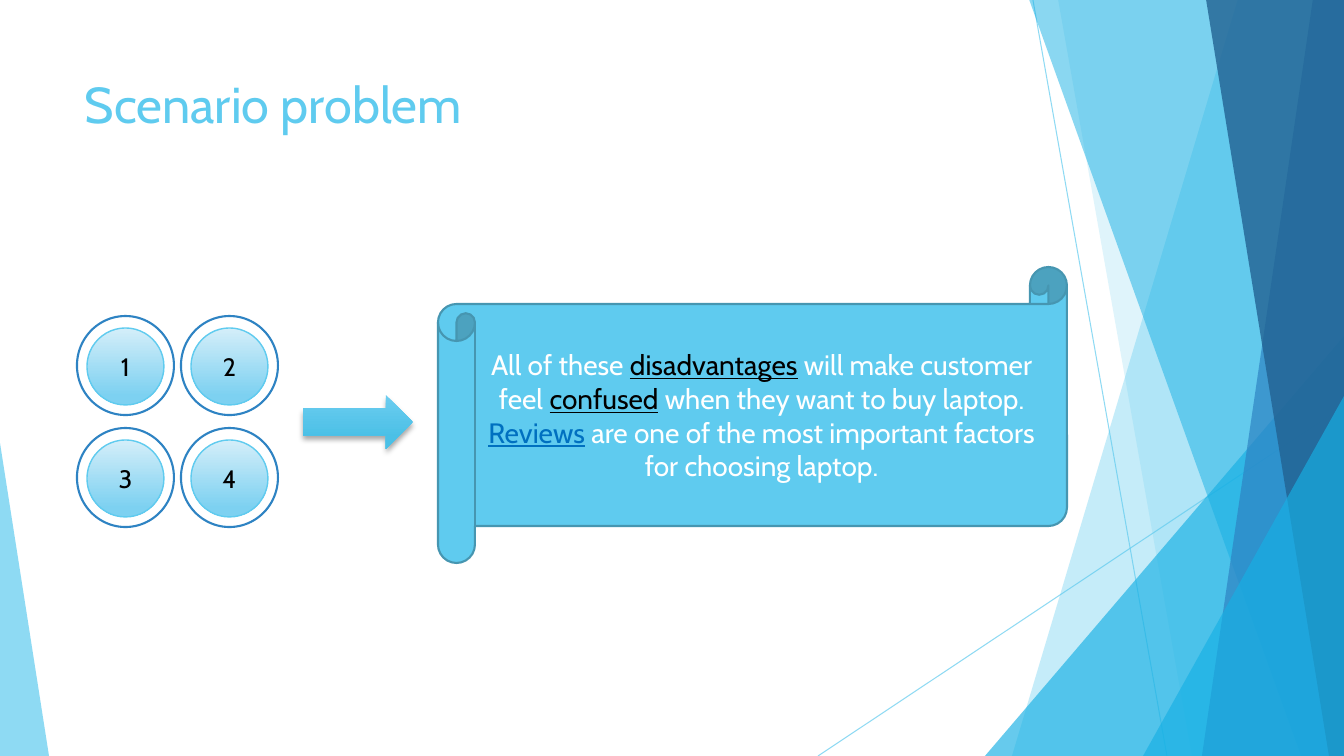
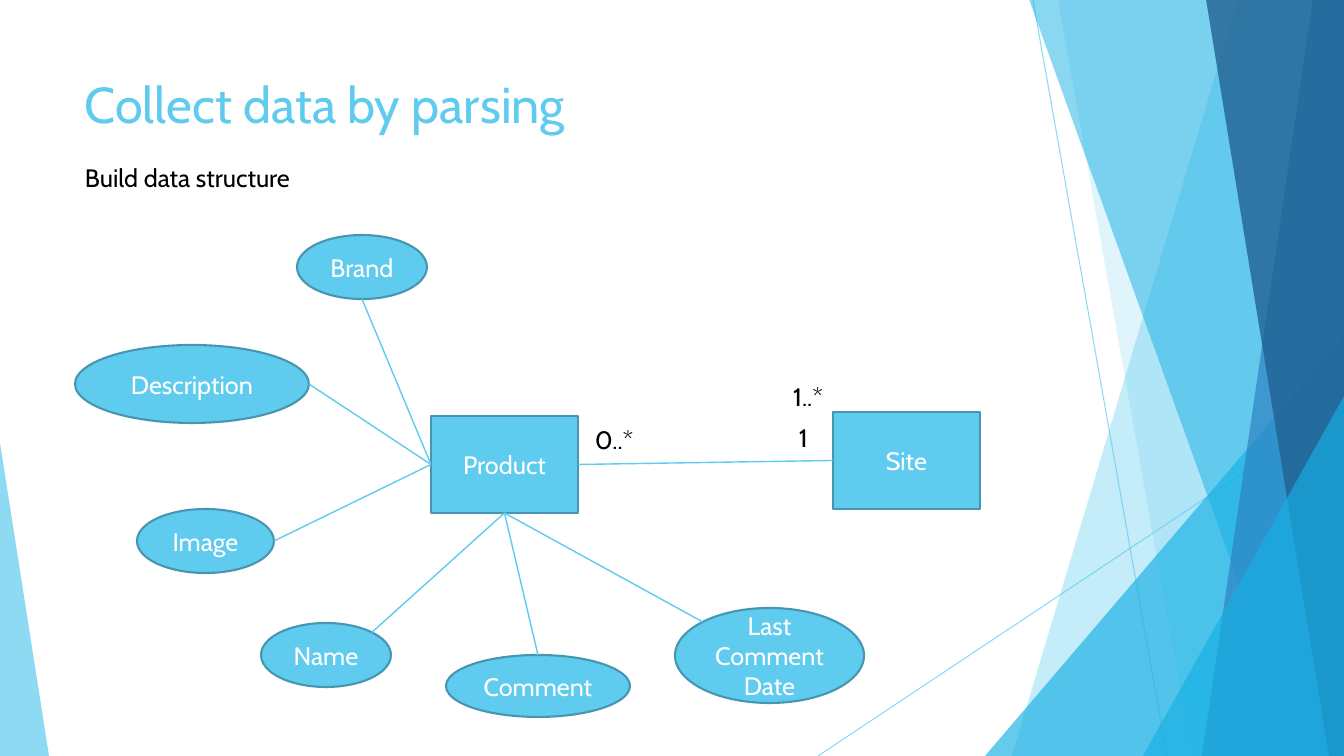
from dataclasses import dataclass
from math import cos, pi, sin
from typing import Optional, Union

from lxml.etree import SubElement
from pptx import Presentation
from pptx.dml.color import RGBColor as RGB
from pptx.enum.shapes import MSO_CONNECTOR as CXN, MSO_SHAPE as SHAPE
from pptx.enum.text import MSO_ANCHOR as ANCHOR, PP_ALIGN as ALIGN
from pptx.oxml.ns import qn
from pptx.util import Emu, Pt

PX = 914400 / 100.8
WIDTH, HEIGHT = 1344, 756
FONT = "Cabin"
COLORS = {
    "sky": "5FCBEF", "azure": "17B0E4", "blue": "2E83C3", "navy": "226292",
    "edge": "4696B1", "link": "0070C0", "white": "FFFFFF", "black": "000000",
    "pale": "D4EEF9", "soft": "7DD1F1", "arrow_top": "6CCDF0", "arrow_base": "4BC0E6",
}


@dataclass(frozen=True)
class Box:
    x: int
    y: int
    w: int
    h: int


@dataclass(frozen=True)
class Band:
    """Area from a slanted left edge to the right side of the slide."""
    top_x: int
    bottom_x: int
    color: str
    alpha: int


@dataclass(frozen=True)
class Wedge:
    """Triangle whose apex sits at the given share of its width."""
    box: Box
    apex: float
    color: str
    alpha: int


@dataclass(frozen=True)
class Run:
    text: str
    color: str = "white"
    underline: bool = False


@dataclass(frozen=True)
class Attribute:
    """Oval joined from one of its eight sites to a side of the product."""
    name: str
    box: Box
    site: int
    product_side: int


@dataclass(frozen=True)
class Label:
    text: str
    box: Box
    align: ALIGN = ALIGN.LEFT
    wrap: bool = True


LEFT_SIDE, BOTTOM_SIDE, RIGHT_SIDE = 1, 2, 3
RAYS = [(1033, 0, 1167, HEIGHT), (WIDTH, 406, 818, HEIGHT)]
FACETS: list[Union[Band, Wedge]] = [
    Band(1238, 1012, "sky", 36),
    Band(1058, 1192, "sky", 20),
    Wedge(Box(985, 336, 359, 420), 1, "azure", 66),
    Band(1029, 1301, "azure", 50),
    Band(1313, 1202, "blue", 70),
    Band(1206, 1329, "navy", 80),
    Wedge(Box(1143, 396, 201, 360), 1, "azure", 66),
    Wedge(Box(0, 443, 49, 313), 0, "sky", 70),
]
CONCLUSION = [
    [Run("All of these "), Run("disadvantages", "black", True),
     Run(" will make customer feel "), Run("confused", "black", True),
     Run(" when they want to buy laptop.")],
    [Run("Reviews", "link", True),
     Run(" are one of the most important factors for choosing laptop.")],
]
PRODUCT = Box(431, 416, 147, 97)
SITE = Box(833, 412, 147, 97)
ATTRIBUTES = [
    Attribute("Brand", Box(297, 235, 130, 64), 4, LEFT_SIDE),
    Attribute("Description", Box(75, 345, 234, 78), 6, LEFT_SIDE),
    Attribute("Image", Box(137, 509, 137, 64), 6, LEFT_SIDE),
    Attribute("Name", Box(261, 623, 130, 64), 7, BOTTOM_SIDE),
    Attribute("Comment", Box(446, 655, 184, 62), 0, BOTTOM_SIDE),
    Attribute("Last Comment Date", Box(675, 608, 189, 95), 1, BOTTOM_SIDE),
]
LABELS = [
    Label("0..*", Box(585, 419, 76, 40)),
    Label("1", Box(789, 417, 44, 42)),
    Label("1..*", Box(747, 376, 86, 40), ALIGN.RIGHT),
    Label("Build data structure", Box(75, 157, 248, 40), wrap=False),
]


def px(n: float) -> Emu:
    return Emu(round(n * PX))


def rgb(name: str) -> RGB:
    return RGB.from_string(COLORS[name])


def place(box: Box) -> tuple:
    return px(box.x), px(box.y), px(box.w), px(box.h)


def set_alpha(element, percent: int) -> None:
    for clr in element.iter(qn("a:srgbClr")):
        SubElement(clr, qn("a:alpha"), val=str(percent * 1000))


def write(tf, paragraphs: list, size: int = 18, align: ALIGN = ALIGN.CENTER) -> None:
    for i, runs in enumerate(paragraphs):
        p = tf.paragraphs[0] if i == 0 else tf.add_paragraph()
        p.alignment = align
        for run in runs:
            r = p.add_run()
            r.text = run.text
            r.font.color.rgb = rgb(run.color)
            fmt = {"name": FONT, "size": Pt(size), "underline": run.underline}
            for key, value in fmt.items():
                setattr(r.font, key, value)


def style(s, fill: str, line: Optional[str] = None, weight: float = 1.5) -> None:
    s.shadow.inherit = False
    s.fill.solid()
    s.fill.fore_color.rgb = rgb(fill)
    if line:
        s.line.color.rgb = rgb(line)
        s.line.width = Pt(weight)
    else:
        s.line.fill.background()


def add_shape(slide, kind: SHAPE, box: Box, fill: str,
              line: Optional[str] = None, weight: float = 1.5):
    s = slide.shapes.add_shape(kind, *place(box))
    style(s, fill, line, weight)
    s.text_frame.vertical_anchor = ANCHOR.MIDDLE
    return s


def shade(s, top: str, base: str, stop: float) -> None:
    """Give a shape a vertical gradient that ends at the stop."""
    s.fill.gradient()
    s.fill.gradient_angle = 270
    for mark, color, position in zip(s.fill.gradient_stops, (top, base), (0, stop)):
        mark.color.rgb = rgb(color)
        mark.position = position


def add_line(slide, x1: float, y1: float, x2: float, y2: float, weight: float = 1):
    c = slide.shapes.add_connector(CXN.STRAIGHT, px(x1), px(y1), px(x2), px(y2))
    c.line.color.rgb = rgb("sky")
    c.line.width = Pt(weight)
    SubElement(c.element.spPr, qn("a:effectLst"))
    return c


def add_label(slide, label: Label, size: int = 18, color: str = "black") -> None:
    tf = slide.shapes.add_textbox(*place(label.box)).text_frame
    tf.word_wrap = label.wrap
    write(tf, [[Run(label.text, color)]], size, label.align)


def add_facet(slide, facet: Union[Band, Wedge]) -> None:
    if isinstance(facet, Wedge):
        s = add_shape(slide, SHAPE.ISOSCELES_TRIANGLE, facet.box, facet.color)
        s.adjustments[0] = facet.apex
    else:
        outline = slide.shapes.build_freeform(px(facet.top_x), px(-1))
        corners = [(WIDTH, -1), (WIDTH, HEIGHT), (facet.bottom_x, HEIGHT)]
        outline.add_line_segments([(px(x), px(y)) for x, y in corners])
        s = outline.convert_to_shape()
        style(s, facet.color)
    set_alpha(s.element.spPr, facet.alpha)


def add_slide(prs, title: str):
    """Add a slide with the faceted backdrop and its title."""
    slide = prs.slides.add_slide(prs.slide_layouts[6])
    for ray in RAYS:
        set_alpha(add_line(slide, *ray, weight=0.75).element.spPr, 70)
    for facet in FACETS:
        add_facet(slide, facet)
    add_label(slide, Label(title, Box(75, 68, 948, 145)), 36, "sky")
    return slide


def add_badge(slide, number: int) -> None:
    """Draw a ringed number at its place in a two-column grid."""
    row, col = divmod(number - 1, 2)
    x, y = 77 + 104 * col, 316 + 112 * row
    add_shape(slide, SHAPE.OVAL, Box(x, y, 97, 99), "white", "blue")
    s = add_shape(slide, SHAPE.OVAL, Box(x + 10, y + 12, 77, 77), "white", "sky", 1)
    shade(s, "pale", "soft", 0.88)
    write(s.text_frame, [[Run(str(number), "black")]])


def add_arrow(slide, box: Box) -> None:
    s = add_shape(slide, SHAPE.RIGHT_ARROW, box, "sky")
    shade(s, "arrow_top", "arrow_base", 0.78)
    effects = s.element.spPr.find(qn("a:effectLst"))
    shadow = SubElement(effects, qn("a:outerShdw"), blurRad=str(Pt(4)),
                        dist=str(Pt(3)), dir="5400000", rotWithShape="0")
    clr = SubElement(shadow, qn("a:srgbClr"), val=COLORS["black"])
    SubElement(clr, qn("a:alpha"), val="35000")


def add_node(slide, kind: SHAPE, box: Box, name: str):
    s = add_shape(slide, kind, box, "sky", "edge")
    write(s.text_frame, [[Run(name)]])
    return s


def oval_site(box: Box, site: int) -> tuple[float, float]:
    """Return a connection site, counted counterclockwise from the top."""
    angle = site * pi / 4
    return (box.x + box.w / 2 * (1 - sin(angle)),
            box.y + box.h / 2 * (1 - cos(angle)))


def add_attribute(slide, attribute: Attribute, product) -> None:
    s = add_node(slide, SHAPE.OVAL, attribute.box, attribute.name)
    start = oval_site(attribute.box, attribute.site)
    c = add_line(slide, *start, *start)
    SubElement(c.element.nvCxnSpPr.cNvCxnSpPr, qn("a:stCxn"),
               id=str(s.shape_id), idx=str(attribute.site))
    c.end_connect(product, attribute.product_side)


def build_scenario(prs) -> None:
    slide = add_slide(prs, "Scenario problem")
    for number in range(1, 5):
        add_badge(slide, number)
    add_arrow(slide, Box(303, 395, 110, 54))
    scroll = add_shape(slide, SHAPE.HORIZONTAL_SCROLL, Box(438, 267, 629, 296),
                       "sky", "edge")
    write(scroll.text_frame, CONCLUSION, 20)


def build_data_structure(prs) -> None:
    slide = add_slide(prs, "Collect data by parsing")
    product = add_node(slide, SHAPE.RECTANGLE, PRODUCT, "Product")
    site = add_node(slide, SHAPE.RECTANGLE, SITE, "Site")
    for attribute in ATTRIBUTES:
        add_attribute(slide, attribute, product)
    c = add_line(slide, 0, 0, 0, 0)
    c.begin_connect(product, RIGHT_SIDE)
    c.end_connect(site, LEFT_SIDE)
    for label in LABELS:
        add_label(slide, label)


def main() -> None:
    prs = Presentation()
    prs.slide_width, prs.slide_height = px(WIDTH), px(HEIGHT)
    build_scenario(prs)
    build_data_structure(prs)
    prs.save("out.pptx")


if __name__ == "__main__":
    main()
